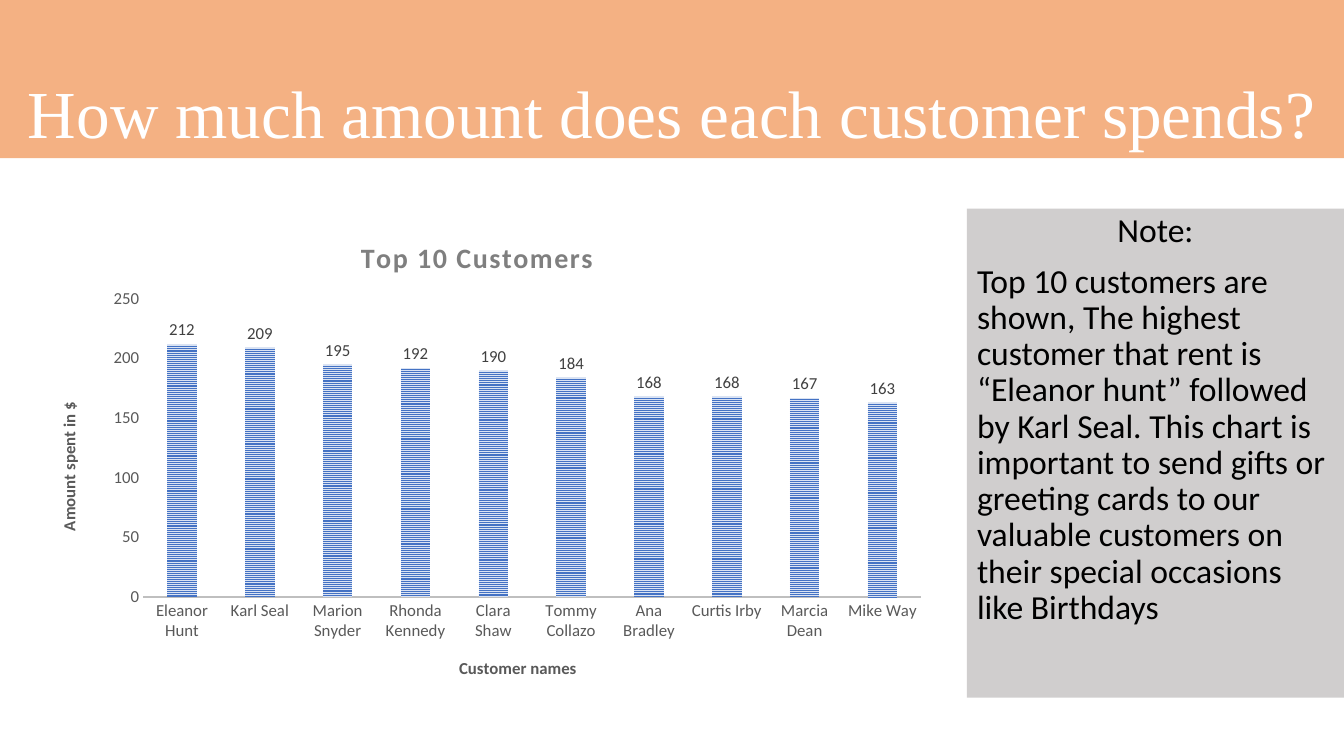
from dataclasses import dataclass

from lxml import etree
from pptx import Presentation
from pptx.chart.data import CategoryChartData
from pptx.dml.color import RGBColor
from pptx.enum.chart import XL_CHART_TYPE, XL_LABEL_POSITION, XL_TICK_MARK
from pptx.enum.dml import MSO_PATTERN
from pptx.enum.text import MSO_ANCHOR, MSO_AUTO_SIZE, PP_ALIGN
from pptx.oxml.ns import qn
from pptx.util import Inches, Pt

COLUMNS = XL_CHART_TYPE.COLUMN_CLUSTERED
OUTSIDE_END = XL_LABEL_POSITION.OUTSIDE_END
NO_TICK = XL_TICK_MARK.NONE
STRIPES = MSO_PATTERN.NARROW_HORIZONTAL
TOP, BOTTOM = MSO_ANCHOR.TOP, MSO_ANCHOR.BOTTOM
LEFT, CENTER = PP_ALIGN.LEFT, PP_ALIGN.CENTER

HEADLINE = "How much amount does each customer spends?"
NOTE = [
    ("Note:", CENTER),
    ("Top 10 customers are shown, The highest customer that rent is “Eleanor hunt” "
     "followed by Karl Seal. This chart is important to send gifts or greeting cards "
     "to our valuable customers on their special occasions like Birthdays", LEFT),
]
CHART_TITLE = "Top 10 Customers"
NAMES_TITLE = "Customer names"
SPENDING_TITLE = "Amount spent in $"
SPENDING = {
    "Eleanor Hunt": 212, "Karl Seal": 209, "Marion Snyder": 195,
    "Rhonda Kennedy": 192, "Clara Shaw": 190, "Tommy Collazo": 184,
    "Ana Bradley": 168, "Curtis Irby": 168, "Marcia Dean": 167, "Mike Way": 163,
}

SLIDE_W, SLIDE_H = 13.33, 7.5
BANNER_H = 1.57
CONTENT_TOP, CONTENT_H = 2.07, 4.85
NOTE_W = 3.74
CHART_LEFT, CHART_W = 0.27, 9.05


@dataclass(frozen=True)
class Theme:
    heading_font: str = "Times New Roman"
    body_font: str = "Calibri"
    banner: RGBColor = RGBColor.from_string("F4B183")
    panel: RGBColor = RGBColor.from_string("D0CECE")
    white: RGBColor = RGBColor.from_string("FFFFFF")
    black: RGBColor = RGBColor.from_string("000000")
    stripe: RGBColor = RGBColor.from_string("4472C4")
    stripe_back: RGBColor = RGBColor.from_string("DAE3F3")
    chart_title: RGBColor = RGBColor.from_string("7F7F7F")
    axis_text: RGBColor = RGBColor.from_string("595959")
    axis_line: RGBColor = RGBColor.from_string("BFBFBF")
    value_text: RGBColor = RGBColor.from_string("404040")
    headline_size: int = 48
    note_size: int = 24
    chart_title_size: int = 20
    chart_size: int = 12


THEME = Theme()


def style_font(font, size, color, name=THEME.body_font, bold=False):
    font.name, font.size, font.bold = name, Pt(size), bold
    font.color.rgb = color


def fill_panel(panel, box, fill, anchor, lines, size, color, font_name, before):
    panel.left, panel.top, panel.width, panel.height = map(Inches, box)
    panel.fill.solid()
    panel.fill.fore_color.rgb = fill
    frame = panel.text_frame
    frame.auto_size, frame.vertical_anchor = MSO_AUTO_SIZE.NONE, anchor
    frame.text = "\n".join(line for line, _ in lines)
    for paragraph, (_, alignment) in zip(frame.paragraphs, lines):
        paragraph.alignment = alignment
        paragraph.line_spacing, paragraph.space_before = 0.9, Pt(before)
        style_font(paragraph.font, size, color, font_name)


def place(part, position, index, **extra):
    for old in part.findall(qn("c:layout")):
        part.remove(old)
    layout = etree.Element(qn("c:layout"))
    part.insert(index, layout)
    manual = etree.SubElement(layout, qn("c:manualLayout"))
    settings = {**extra, "xMode": "edge", "yMode": "edge",
                **dict(zip("xywh", position))}
    for key, value in settings.items():
        etree.SubElement(manual, qn(f"c:{key}")).set("val", str(value))


def add_title(owner, wording, size, color, position):
    frame = owner.text_frame
    frame.text = wording
    style_font(frame.paragraphs[0].font, size, color, bold=True)
    place(owner._element, position, 1)
    return frame


def add_spending_chart(slide):
    spending = CategoryChartData(number_format="0")
    spending.categories = list(SPENDING)
    spending.add_series("Series 1", list(SPENDING.values()))
    box = (CHART_LEFT, CONTENT_TOP, CHART_W, CONTENT_H)
    chart = slide.shapes.add_chart(COLUMNS, *map(Inches, box), spending).chart
    style_font(chart.font, THEME.chart_size, THEME.black)
    chart.has_legend = False

    chart.has_title = True
    heading = add_title(chart.chart_title, CHART_TITLE, THEME.chart_title_size,
                        THEME.chart_title, (0.36, 0.05))
    heading.paragraphs[0].font._element.set("spc", "100")
    chart.chart_title.include_in_layout = False

    names, amounts = chart.category_axis, chart.value_axis
    for axis, wording, position in ((names, NAMES_TITLE, (0.47, 0.91)),
                                    (amounts, SPENDING_TITLE, (0.03, 0.39))):
        axis.has_major_gridlines = False
        axis.major_tick_mark = axis.minor_tick_mark = NO_TICK
        style_font(axis.tick_labels.font, THEME.chart_size, THEME.axis_text)
        frame = add_title(axis.axis_title, wording, THEME.chart_size,
                          THEME.axis_text, position)
    frame._txBody.bodyPr.set("rot", "-5400000")
    frame._txBody.bodyPr.set("vert", "horz")
    names.format.line.color.rgb = THEME.axis_line
    names.format.line.width = Pt(1.5)
    amounts.format.line.fill.background()
    amounts.minimum_scale, amounts.maximum_scale, amounts.major_unit = 0, 250, 50
    amounts.tick_labels.number_format = "0"
    amounts.tick_labels.number_format_is_linked = False

    plot = chart.plots[0]
    plot.gap_width, plot.overlap, plot.vary_by_categories = 164, -22, False
    bars = plot.series[0].format.fill
    bars.patterned()
    bars.pattern = STRIPES
    bars.fore_color.rgb, bars.back_color.rgb = THEME.stripe, THEME.stripe_back
    plot.has_data_labels = True
    labels = plot.data_labels
    labels.show_value, labels.position = True, OUTSIDE_END
    labels.number_format, labels.number_format_is_linked = "0", False
    style_font(labels.font, THEME.chart_size, THEME.value_text)
    plot_area = chart._chartSpace.find(f".//{qn('c:plotArea')}")
    place(plot_area, (0.127, 0.184, 0.853, 0.61), 0, layoutTarget="inner")


def main():
    deck = Presentation()
    deck.slide_width, deck.slide_height = Inches(SLIDE_W), Inches(SLIDE_H)
    slide = deck.slides.add_slide(deck.slide_layouts[0])
    banner, note = slide.placeholders
    fill_panel(banner, (0, 0, SLIDE_W, BANNER_H), THEME.banner, BOTTOM,
               [(HEADLINE, CENTER)], THEME.headline_size, THEME.white,
               THEME.heading_font, 0)
    fill_panel(note, (SLIDE_W - NOTE_W, CONTENT_TOP, NOTE_W, CONTENT_H),
               THEME.panel, TOP, NOTE, THEME.note_size, THEME.black,
               THEME.body_font, 10)
    add_spending_chart(slide)
    deck.save("out.pptx")


if __name__ == "__main__":
    main()
